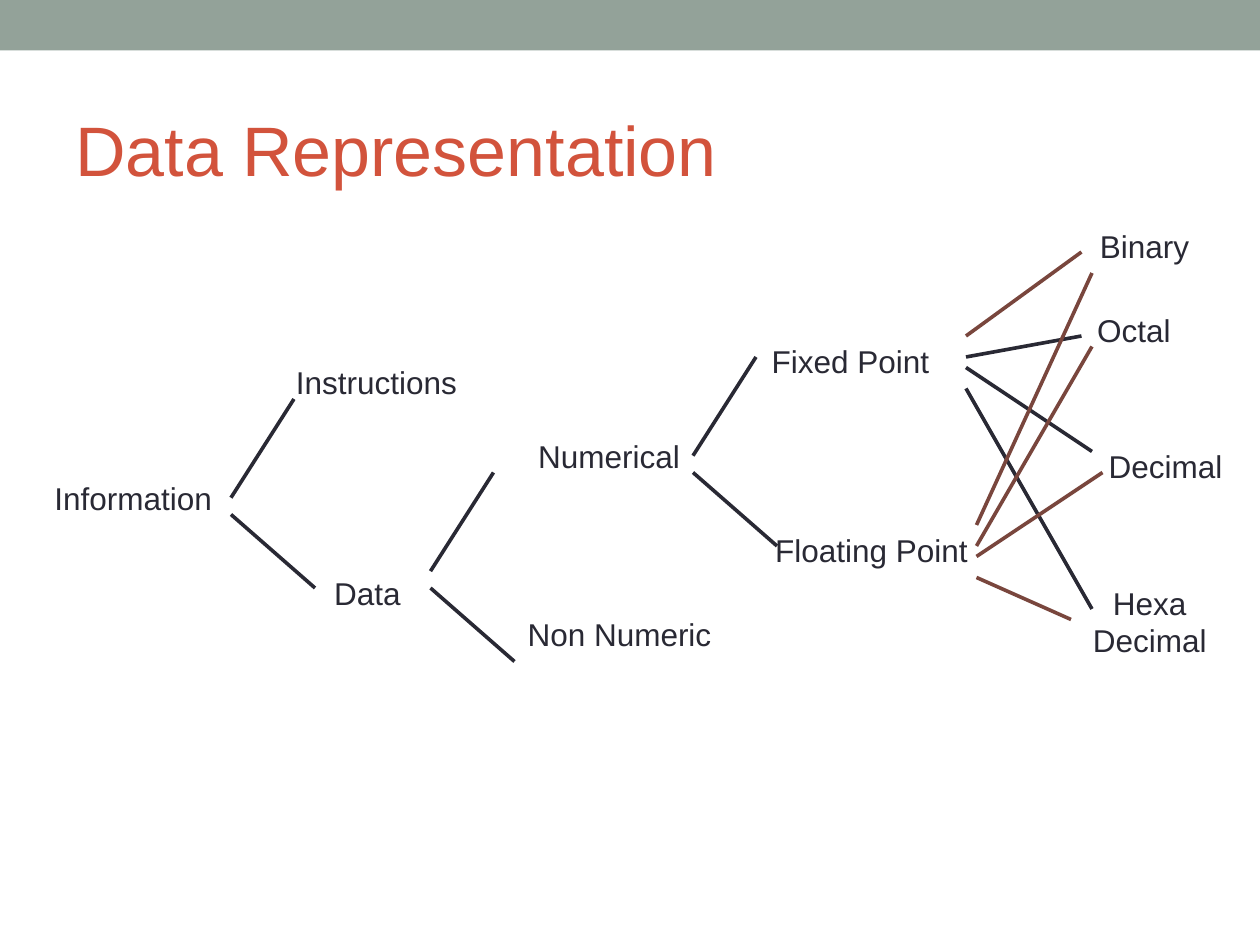
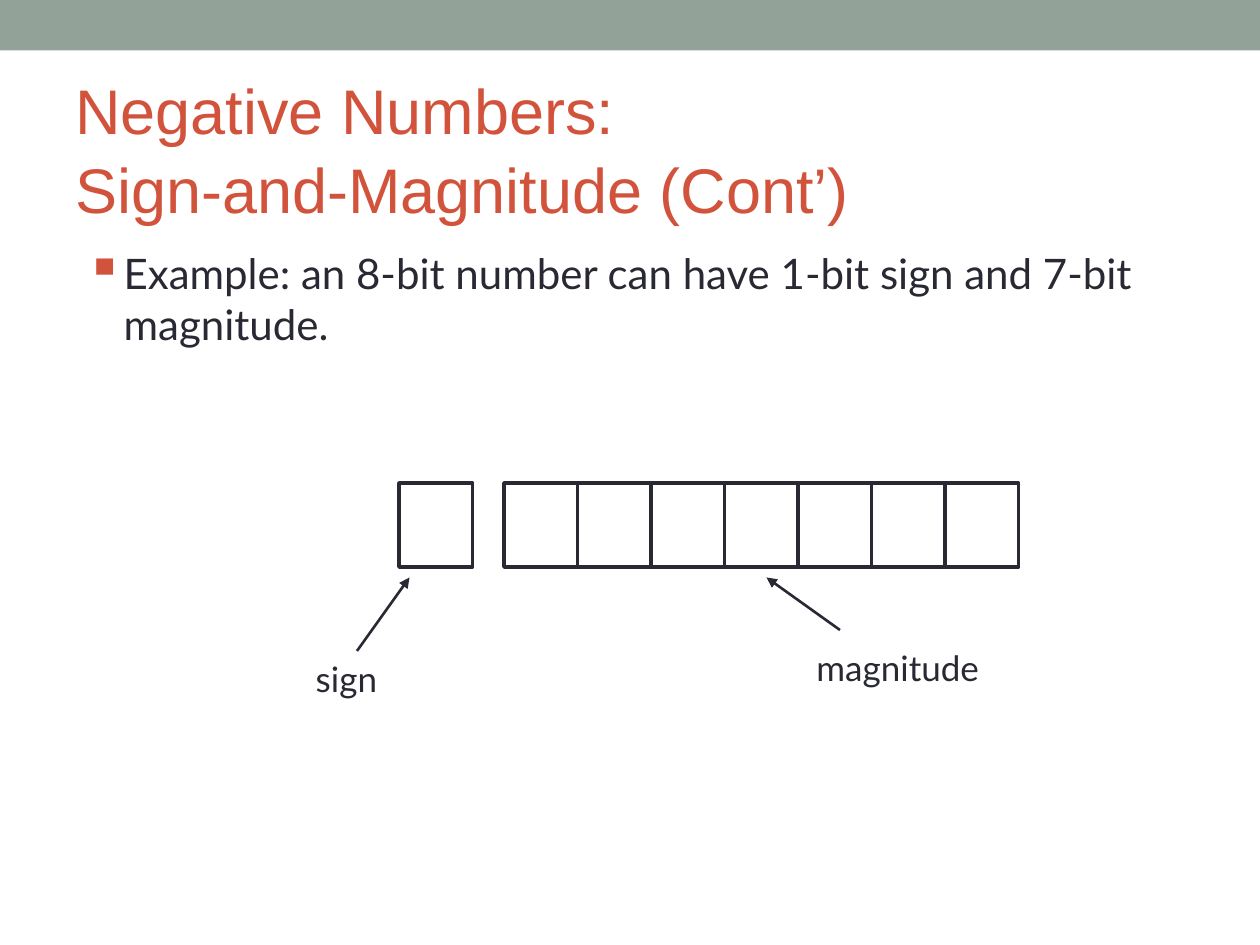
from dataclasses import dataclass

from lxml.etree import SubElement
from pptx import Presentation
from pptx.dml.color import RGBColor
from pptx.enum.shapes import MSO_CONNECTOR as Connector, MSO_SHAPE as Shape
from pptx.enum.text import MSO_ANCHOR as Anchor, MSO_AUTO_SIZE as AutoSize, PP_ALIGN as Align
from pptx.oxml.ns import qn
from pptx.util import Pt

PX = 7620


@dataclass(frozen=True)
class Theme:
    band: str = "93A299"
    accent: str = "D2533C"
    ink: str = "292934"
    brown: str = "79463D"
    sans: str = "Arial"
    body: str = "Lato"
    title_size: int = 40
    long_title_size: int = 36
    bullet_size: int = 24
    caption_size: int = 20
    node_size: int = 18
    branch_width: float = 2.07
    cell_width: float = 2
    arrow_width: float = 1.5


class Deck:
    def __init__(self, theme):
        self.theme = theme
        self.prs = Presentation()
        self.prs.slide_width = 1200 * PX
        self.prs.slide_height = 900 * PX
        self.slide = None

    def new_slide(self, title, size):
        self.slide = self.prs.slides.add_slide(self.prs.slide_layouts[6])
        band = self.rect(0, 0, 1200, 48)
        band.fill.solid()
        band.fill.fore_color.rgb = RGBColor.from_string(self.theme.band)
        band.line.fill.background()
        heading = self.text(title, 60, 70, 1080, 130, size, self.theme.sans, self.theme.accent)
        heading.vertical_anchor = Anchor.MIDDLE
        heading.margin_top = 16 * PX
        heading.paragraphs[0].line_spacing = 1.04

    def rect(self, x, y, w, h):
        shape = self.slide.shapes.add_shape(Shape.RECTANGLE, x * PX, y * PX, w * PX, h * PX)
        shape.shadow.inherit = False
        return shape

    def text(self, content, x, y, w, h, size, font, color, align=Align.LEFT):
        frame = self.slide.shapes.add_textbox(x * PX, y * PX, w * PX, h * PX).text_frame
        frame.word_wrap = True
        frame.margin_left = frame.margin_right = 12 * PX
        frame.margin_top = frame.margin_bottom = 6 * PX
        paragraph = frame.paragraphs[0]
        paragraph.alignment = align
        for index, line in enumerate(content.split("\n")):
            if index:
                paragraph.add_line_break()
            run = paragraph.add_run()
            run.text = line
            run.font.size = Pt(size)
            run.font.name = font
            run.font.color.rgb = RGBColor.from_string(color)
        return frame

    def node(self, content, x, y, w=180, h=48, align=Align.CENTER):
        frame = self.text(content, x, y, w, h, self.theme.node_size, self.theme.sans,
                          self.theme.ink, align)
        frame.auto_size = AutoSize.SHAPE_TO_FIT_TEXT

    def caption(self, content, x, y, w):
        frame = self.text(content, x, y, w, 53, self.theme.caption_size, self.theme.body,
                          self.theme.ink, Align.CENTER)
        frame.auto_size = AutoSize.SHAPE_TO_FIT_TEXT

    def bullet(self, content, x, y, w, h):
        frame = self.text(content, x, y, w, h, self.theme.bullet_size, self.theme.body,
                          self.theme.ink)
        props = frame.paragraphs[0]._p.get_or_add_pPr()
        props.set("marL", str(36 * PX))
        props.set("indent", str(-36 * PX))
        SubElement(SubElement(props, qn("a:buClr")), qn("a:srgbClr"), val=self.theme.accent)
        SubElement(props, qn("a:buSzPct"), val="120000")
        SubElement(props, qn("a:buChar"), char="▪")

    def cell(self, x, y, w, h):
        box = self.rect(x, y, w, h)
        box.fill.background()
        box.line.color.rgb = RGBColor.from_string(self.theme.ink)
        box.line.width = Pt(self.theme.cell_width)

    def line(self, start, end, color, width, arrow=False):
        ends = [value * PX for value in (*start, *end)]
        link = self.slide.shapes.add_connector(Connector.STRAIGHT, *ends)
        link.line.color.rgb = RGBColor.from_string(color)
        link.line.width = Pt(width)
        if arrow:
            SubElement(link.line._get_or_add_ln(), qn("a:tailEnd"), type="triangle")
        SubElement(link._element.spPr, qn("a:effectLst"))

    def branch(self, start, end, color):
        self.line(start, end, color, self.theme.branch_width)

    def arrow(self, start, end):
        self.line(start, end, self.theme.ink, self.theme.arrow_width, arrow=True)


def data_representation(deck):
    theme = deck.theme
    deck.new_slide("Data Representation", theme.title_size)

    deck.node("Information", 40, 450, align=Align.LEFT)
    deck.node("Instructions", 270, 340, align=Align.LEFT)
    for name, *place in (
        ("Data", 260, 541),
        ("Numerical", 490, 410),
        ("Non Numeric", 470, 580, 240),
        ("Fixed Point", 720, 320),
        ("Floating Point", 720, 500, 220),
        ("Binary", 1000, 210),
        ("Octal", 990, 290),
        ("Decimal", 1020, 420),
        ("Hexa Decimal", 1000, 550, 190, 84),
    ):
        deck.node(name, *place)

    for x, y, lower_dx in ((220, 490, 80), (410, 560, 80), (660, 450, 80)):
        deck.branch((x, y - 16), (x + 60, y - 110), theme.ink)
        deck.branch((x, y), (x + lower_dx, y + 70), theme.ink)

    fixed_links = (
        (320, (1030, 240), theme.brown),
        (340, (1030, 320), theme.ink),
        (350, (1040, 430), theme.ink),
        (370, (1040, 580), theme.ink),
    )
    for y, radix, color in fixed_links:
        deck.branch((920, y), radix, color)

    floating_links = (
        (500, (1040, 260)),
        (520, (1040, 330)),
        (530, (1050, 450)),
        (550, (1020, 590)),
    )
    for y, radix in floating_links:
        deck.branch((930, y), radix, theme.brown)


def sign_and_magnitude(deck):
    deck.new_slide("Negative Numbers:\nSign-and-Magnitude (Cont’)", deck.theme.long_title_size)
    deck.bullet("Example: an 8-bit number can have 1-bit sign and 7-bit magnitude.",
                70, 230, 1044, 112)

    bit_width, bit_height, bits_top = 70, 80, 460
    sign_left, magnitude_left, magnitude_bits = 380, 480, 7
    deck.cell(sign_left, bits_top, bit_width, bit_height)
    for bit in range(magnitude_bits):
        deck.cell(magnitude_left + bit * bit_width, bits_top, bit_width, bit_height)

    deck.arrow((340, 620), (390, 550))
    deck.caption("sign", 270, 620, 120)
    deck.arrow((800, 600), (730, 550))
    deck.caption("magnitude", 750, 610, 210)


def main():
    deck = Deck(Theme())
    data_representation(deck)
    sign_and_magnitude(deck)
    deck.prs.save("out.pptx")


if __name__ == "__main__":
    main()
